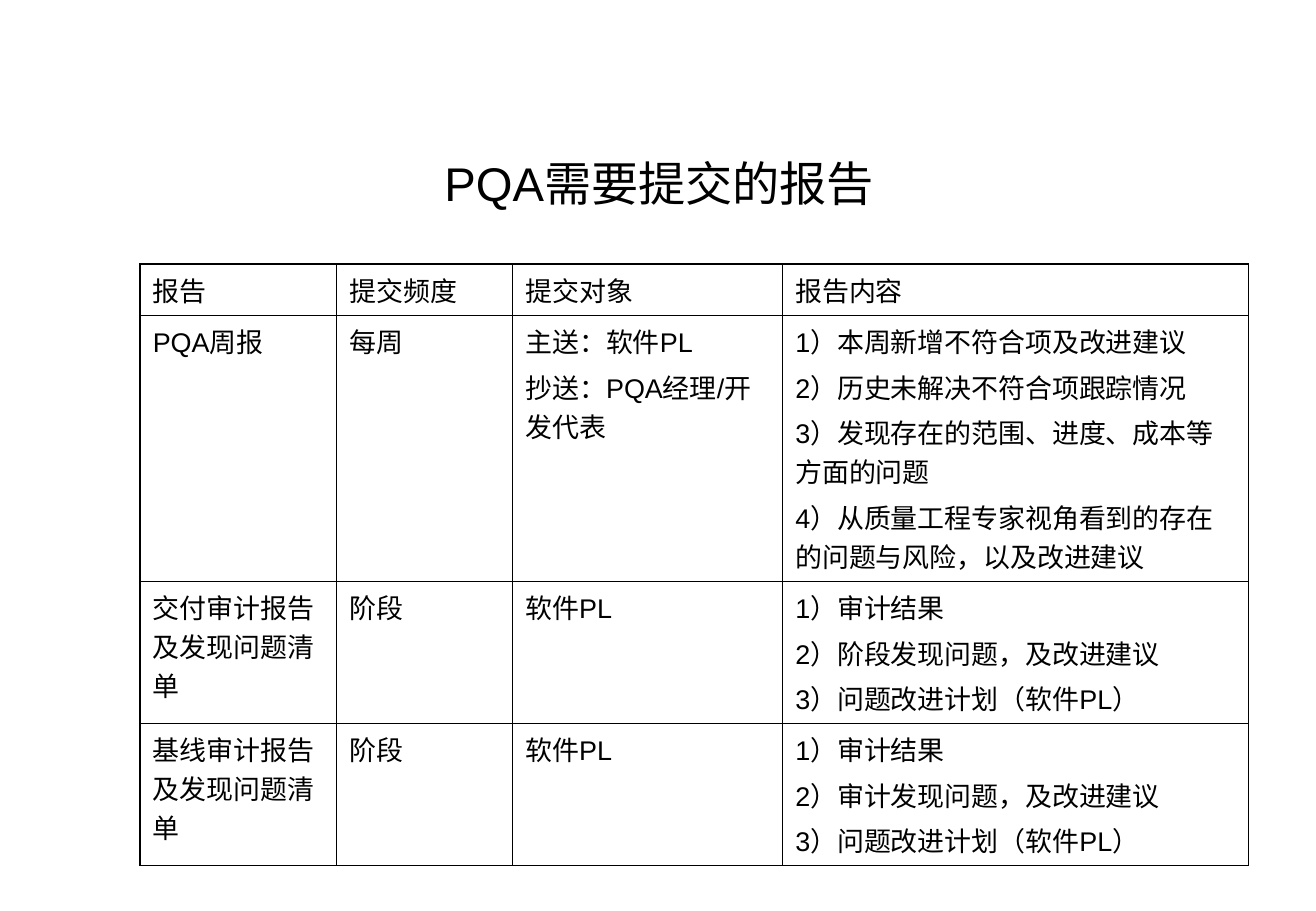
"""Build the slide listing the reports a PQA has to submit."""
from lxml.etree import SubElement
from pptx import Presentation
from pptx.dml.color import RGBColor
from pptx.enum.text import MSO_ANCHOR, PP_ALIGN
from pptx.oxml import parse_xml
from pptx.oxml.ns import nsdecls, qn
from pptx.util import Pt

BLACK = RGBColor(0, 0, 0)
WHITE = RGBColor(255, 255, 255)
THIN, THICK = 0.45, 1.08
COL_WIDTHS = [116.64, 104.4, 160.1, 276.4]
ROW_HEIGHTS = [30.5, 157.7, 84.2, 84.2]
REPORTS = [
    ["报告", "提交频度", "提交对象", "报告内容"],
    ["PQA周报", "每周", "主送：软件PL\n抄送：PQA经理/开发代表",
     "1）本周新增不符合项及改进建议\n2）历史未解决不符合项跟踪情况\n"
     "3）发现存在的范围、进度、成本等方面的问题\n"
     "4）从质量工程专家视角看到的存在的问题与风险，以及改进建议"],
    ["交付审计报告及发现问题清单", "阶段", "软件PL",
     "1）审计结果\n2）阶段发现问题，及改进建议\n3）问题改进计划（软件PL）"],
    ["基线审计报告及发现问题清单", "阶段", "软件PL",
     "1）审计结果\n2）审计发现问题，及改进建议\n3）问题改进计划（软件PL）"],
]


def write(tf, text, size=16, align=PP_ALIGN.LEFT, gap=4):
    tf.word_wrap = True
    for i, line in enumerate(text.split("\n")):
        p = tf.add_paragraph() if i else tf.paragraphs[0]
        p.alignment = align
        p.space_before = Pt(gap if i else 0)
        r = p.add_run()
        r.text = line
        r.font.size = Pt(size)
        r.font.color.rgb = BLACK
        r.font.name = "Arial"
        SubElement(r.font._element, qn("a:ea"), typeface="Noto Sans CJK SC")


def set_borders(cell, widths):
    tcPr = cell._tc.get_or_add_tcPr()
    for i, (side, width) in enumerate(zip("LRTB", widths)):
        tcPr.insert(i, parse_xml(
            f'<a:ln{side} {nsdecls("a")} w="{Pt(width)}"><a:solidFill>'
            f'<a:srgbClr val="{BLACK}"/></a:solidFill></a:ln{side}>'))


prs = Presentation()
prs.slide_width, prs.slide_height = Pt(780.48), Pt(540)
slide = prs.slides.add_slide(prs.slide_layouts[6])
slide.background.fill.solid()
slide.background.fill.fore_color.rgb = WHITE

title = slide.shapes.add_textbox(Pt(40), Pt(88.56), Pt(702), Pt(39.6))
title.text_frame.vertical_anchor = MSO_ANCHOR.MIDDLE
write(title.text_frame, "PQA需要提交的报告", size=28, align=PP_ALIGN.CENTER)

last_row, last_col = len(ROW_HEIGHTS) - 1, len(COL_WIDTHS) - 1
table = slide.shapes.add_table(
    len(ROW_HEIGHTS), len(COL_WIDTHS), Pt(83), Pt(156.5),
    Pt(sum(COL_WIDTHS)), Pt(sum(ROW_HEIGHTS))).table
table.first_row = table.horz_banding = False
for col, width in zip(table.columns, COL_WIDTHS):
    col.width = Pt(width)
for row, height in zip(table.rows, ROW_HEIGHTS):
    row.height = Pt(height)

for y, report in enumerate(REPORTS):
    for x, text in enumerate(report):
        cell = table.cell(y, x)
        cell.fill.background()
        cell.margin_left = cell.margin_right = Pt(7.6)
        cell.margin_top = cell.margin_bottom = Pt(3.6)
        write(cell.text_frame, text)
        outer = (x == 0, x == last_col, y == 0, y == last_row)
        set_borders(cell, [THICK if edge else THIN for edge in outer])

prs.save("out.pptx")
